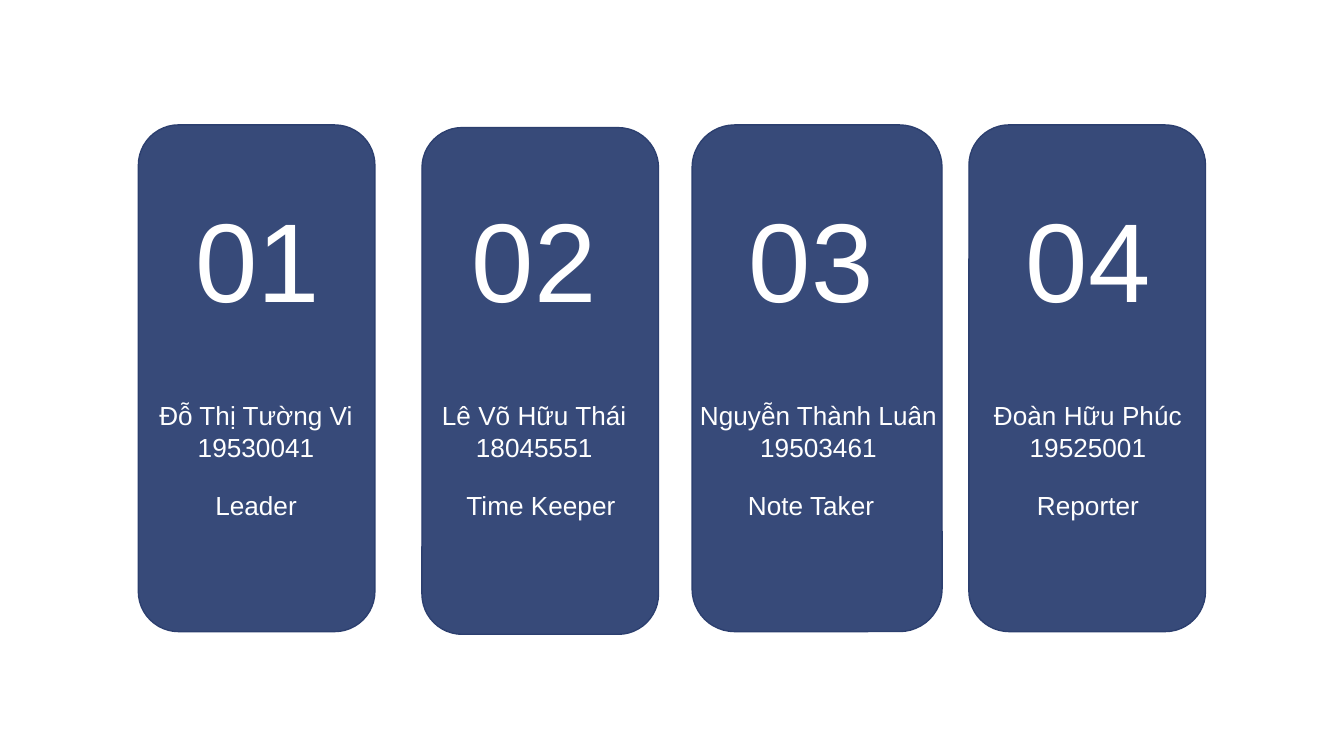
import pptx
import pptx.dml.color
import pptx.enum.shapes
import pptx.enum.text
import pptx.util
from pptx.util import Inches

COLORS = {"card": "374A79", "edge": "2C3F6F", "text": "FFFFFF"}
FONT = "Arial"
SLIDE_WIDTH = 10
SLIDE_HEIGHT = SLIDE_WIDTH * 9 / 16
CARD_HEIGHT = 3.77
NUMBER_SIZE = (1.55, 1.16)
ROLE_SIZE = (1.71, 0.9)
NUMBER_TOP, NAME_TOP, ROLE_TOP = 1.36, 2.9, 3.54
NAME_HEIGHT = 0.64
NUMBER_LEFT, NUMBER_STEP = 1.14, 2.06

# Each card is left, top, width; name_at is left, width.
# A "\v" breaks the line inside a paragraph, a "\n" starts a new one.
MEMBERS = [
    {"name": "Đỗ Thị Tường Vi\v19530041", "role": "Leader",
     "card": (1.03, 0.93, 1.76), "name_at": (0.98, 1.85), "role_left": 1.05},
    {"name": "Lê Võ Hữu Thái\n18045551", "role": "Time Keeper",
     "card": (3.14, 0.95, 1.76), "name_at": (3.12, 1.71), "role_left": 3.17},
    {"name": "Nguyễn Thành Luân\n19503461", "role": "Note Taker",
     "card": (5.15, 0.93, 1.86), "name_at": (5.1, 1.98), "role_left": 5.18},
    {"name": "Đoàn Hữu Phúc\n19525001", "role": "Reporter",
     "card": (7.21, 0.93, 1.76), "name_at": (7.24, 1.71), "role_left": 7.24},
]


def color(name):
    return pptx.dml.color.RGBColor.from_string(COLORS[name])


def add_card(page, left, top, width):
    card = page.shapes.add_shape(
        pptx.enum.shapes.MSO_SHAPE.ROUNDED_RECTANGLE,
        Inches(left), Inches(top), Inches(width), Inches(CARD_HEIGHT))
    card.adjustments[0] = 0.17
    card.shadow.inherit = False
    card.fill.solid()
    card.fill.fore_color.rgb = color("card")
    card.line.color.rgb = color("edge")
    card.line.width = pptx.util.Pt(0.75)


def write(box, text, size=14, anchor="BOTTOM"):
    """Fill a box with centred text."""
    frame = box.text_frame
    frame.word_wrap = True
    frame.auto_size = pptx.enum.text.MSO_AUTO_SIZE.NONE
    frame.vertical_anchor = pptx.enum.text.MSO_ANCHOR[anchor]
    frame.margin_left = frame.margin_right = Inches(0.1)
    frame.margin_top = frame.margin_bottom = Inches(0.1)
    frame.text = text
    for para in frame.paragraphs:
        para.alignment = pptx.enum.text.PP_ALIGN.CENTER
        for span in para.runs:
            span.font.name = FONT
            span.font.size = pptx.util.Pt(size)
            span.font.color.rgb = color("text")


def add_text(page, text, left, top, width, height, **text_format):
    box = page.shapes.add_textbox(
        Inches(left), Inches(top), Inches(width), Inches(height))
    write(box, text, **text_format)


def place_title(page, text, left, top, width, height, **text_format):
    """Use the title placeholder and bring it in front of the card."""
    title = page.shapes.title
    title.left, title.top = Inches(left), Inches(top)
    title.width, title.height = Inches(width), Inches(height)
    write(title, text, **text_format)
    page.shapes[-1].element.addnext(title.element)


def add_member(page, index, member):
    add_card(page, *member["card"])
    add_number = place_title if index == 0 else add_text
    add_number(page, f"{index + 1:02}", NUMBER_LEFT + index * NUMBER_STEP,
               NUMBER_TOP, *NUMBER_SIZE, size=60)
    name_left, name_width = member["name_at"]
    add_text(page, member["name"], name_left, NAME_TOP, name_width, NAME_HEIGHT)
    add_text(page, member["role"], member["role_left"], ROLE_TOP, *ROLE_SIZE,
             anchor="TOP")


def main():
    deck = pptx.Presentation()
    deck.slide_width = Inches(SLIDE_WIDTH)
    deck.slide_height = Inches(SLIDE_HEIGHT)
    page = deck.slides.add_slide(deck.slide_layouts.get_by_name("Title Only"))
    for index, member in enumerate(MEMBERS):
        add_member(page, index, member)
    deck.save("out.pptx")


if __name__ == "__main__":
    main()
